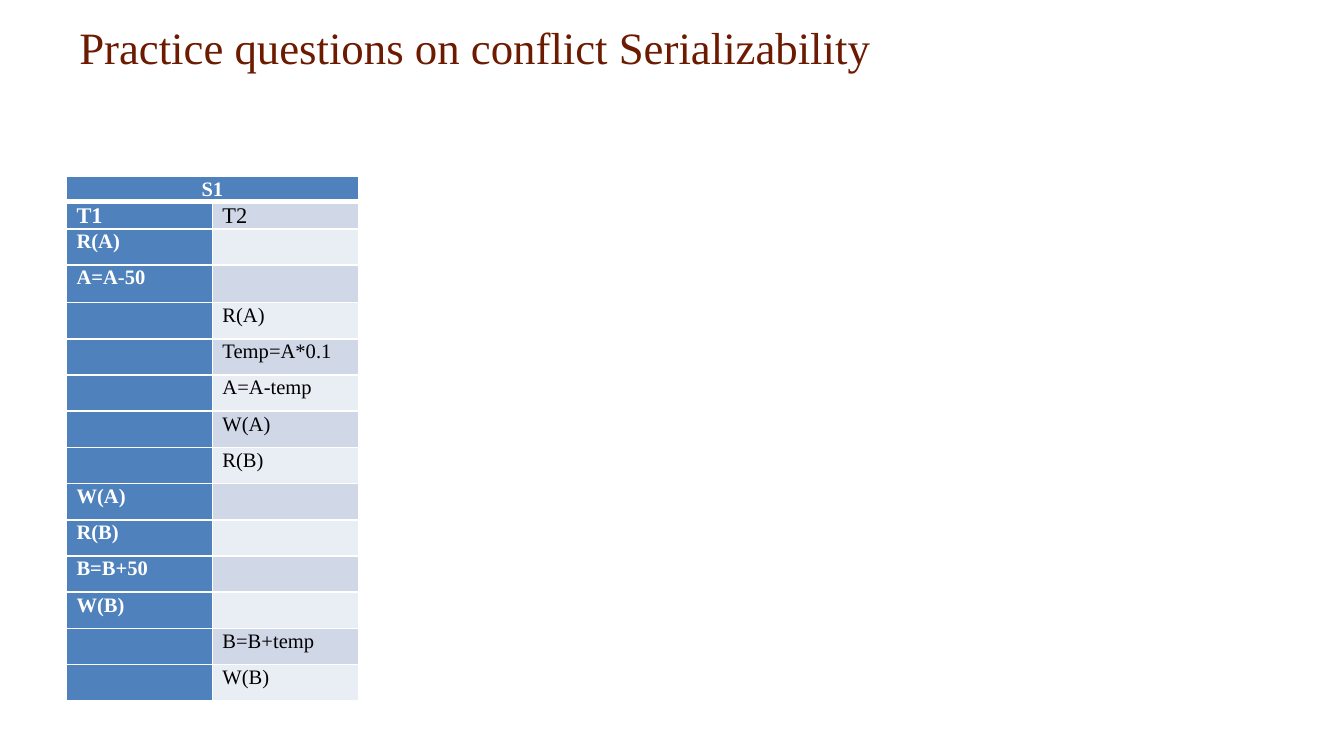
"""Build a slide with a two-transaction schedule for conflict serializability."""
from dataclasses import dataclass

from lxml.etree import SubElement
from pptx import Presentation
from pptx.dml.color import RGBColor
from pptx.enum.text import MSO_ANCHOR, PP_ALIGN
from pptx.oxml.ns import qn
from pptx.util import Pt

FONT = "Times New Roman"
BROWN = RGBColor(0x6C, 0x1A, 0x00)
BLUE = RGBColor(0x4F, 0x81, 0xBD)
BANDS = (RGBColor(0xD0, 0xD8, 0xE8), RGBColor(0xE9, 0xED, 0xF4))
WHITE = RGBColor(0xFF, 0xFF, 0xFF)
BLACK = RGBColor(0x00, 0x00, 0x00)


@dataclass
class Step:
    t1: str = ""
    t2: str = ""
    height: float = 19.4
    size: float = 11


STEPS = [
    Step("T1", "T2", 14.4, 12),
    Step(t1="R(A)"),
    Step(t1="A=A-50", height=20.2),
    Step(t2="R(A)"),
    Step(t2="Temp=A*0.1"),
    Step(t2="A=A-temp"),
    Step(t2="W(A)"),
    Step(t2="R(B)"),
    Step(t1="W(A)"),
    Step(t1="R(B)"),
    Step(t1="B=B+50"),
    Step(t1="W(B)"),
    Step(t2="B=B+temp"),
    Step(t2="W(B)"),
]


def add_run(p, text: str, size: float, color: RGBColor, bold: bool = False) -> None:
    r = p.add_run()
    r.text = text
    r.font.name = FONT
    r.font.size = Pt(size)
    r.font.bold = bold
    r.font.color.rgb = color


def set_border(cell, side: str, width: float) -> None:
    ln = SubElement(cell._tc.get_or_add_tcPr(), qn(f"a:ln{side}"), w=str(Pt(width)))
    fill = SubElement(ln, qn("a:solidFill"))
    SubElement(fill, qn("a:srgbClr"), val=str(WHITE))


def fill_cell(cell, text: str, size: float, fill: RGBColor, heading: bool,
              top: float = 1, bottom: float = 1) -> None:
    for side, width in (("L", 1), ("R", 1), ("T", top), ("B", bottom)):
        set_border(cell, side, width)
    cell.fill.solid()
    cell.fill.fore_color.rgb = fill
    cell.margin_left = cell.margin_right = Pt(5.4)
    cell.margin_top = cell.margin_bottom = Pt(0)
    p = cell.text_frame.paragraphs[0]
    p.line_spacing = 1.07
    p.space_after = Pt(8)
    if text:
        add_run(p, text, size, WHITE if heading else BLACK, heading)
    else:
        SubElement(p._p, qn("a:endParaRPr"), sz=str(size * 100))


def add_title(s, text: str) -> None:
    title = s.shapes.title
    title.left, title.top, title.width, title.height = Pt(35.3), Pt(7), Pt(649.4), Pt(36)
    tf = title.text_frame
    tf.word_wrap = True
    tf.vertical_anchor = MSO_ANCHOR.MIDDLE
    p = tf.paragraphs[0]
    p.alignment = PP_ALIGN.LEFT
    add_run(p, text, 24, BROWN)


def add_schedule(s, name: str, steps: list[Step]) -> None:
    header_height = 13.6
    height = header_height + sum(step.height for step in steps)
    table = s.shapes.add_table(len(steps) + 1, 2, Pt(35.6), Pt(94.6),
                               Pt(156.4), Pt(height)).table
    for column in table.columns:
        column.width = Pt(78.2)
    table.rows[0].height = Pt(header_height)
    header = table.cell(0, 0)
    header.merge(table.cell(0, 1))
    fill_cell(header, name, 11, BLUE, True, bottom=3)
    header.text_frame.paragraphs[0].alignment = PP_ALIGN.CENTER
    for i, step in enumerate(steps):
        row = table.rows[i + 1]
        row.height = Pt(step.height)
        top = 3 if i == 0 else 1
        fill_cell(row.cells[0], step.t1, step.size, BLUE, True, top)
        fill_cell(row.cells[1], step.t2, step.size, BANDS[i % 2], False, top)


def main() -> None:
    prs = Presentation()
    prs.slide_width, prs.slide_height = Pt(720), Pt(405)
    s = prs.slides.add_slide(prs.slide_layouts[5])
    add_title(s, "Practice questions on conflict Serializability")
    add_schedule(s, "S1", STEPS)
    prs.save("out.pptx")


if __name__ == "__main__":
    main()
